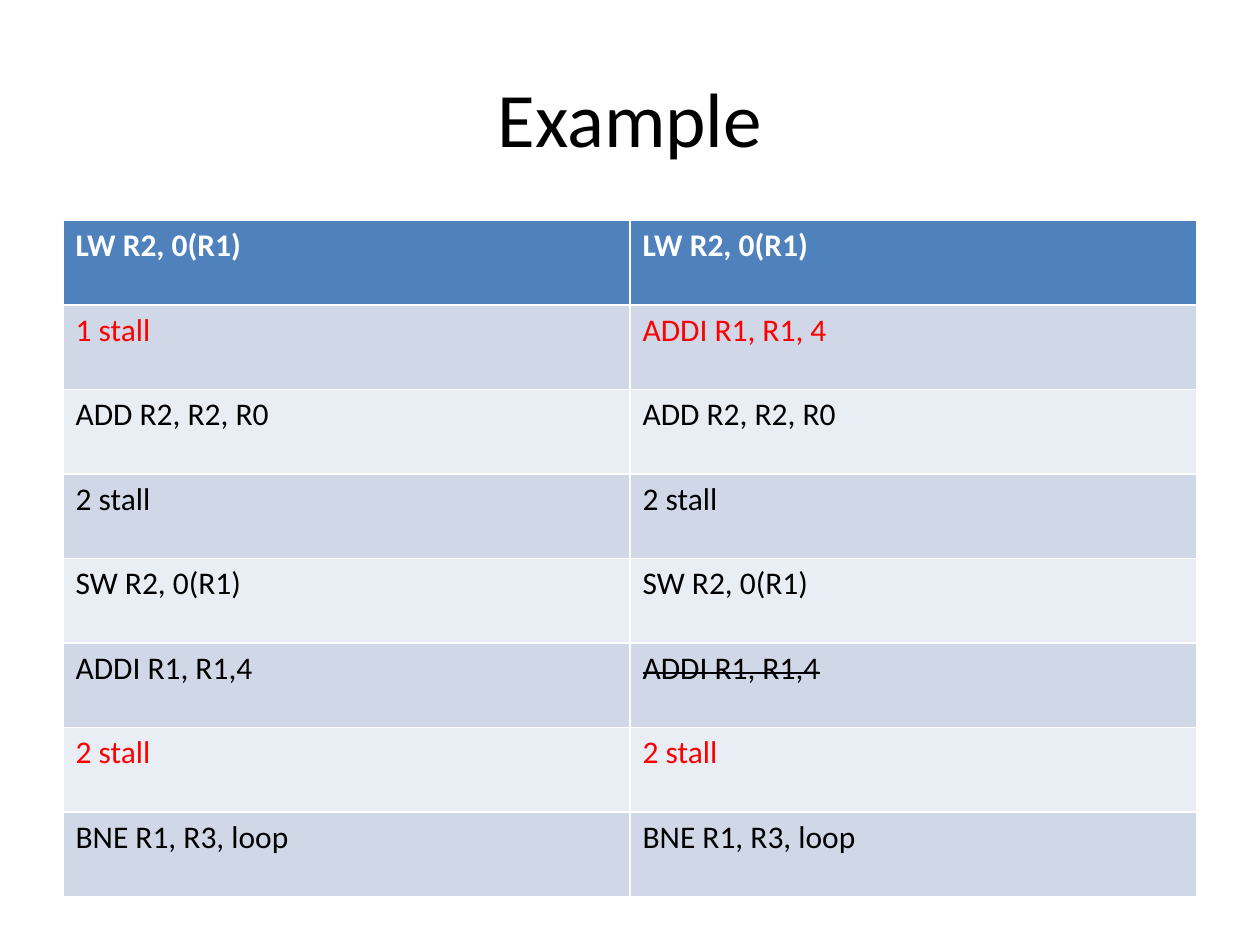
import pptx
import pptx.dml.color
import pptx.enum.text
import pptx.util

COLORS = {
    "header": "4F81BD",
    "odd": "D0D8E8",
    "even": "E9EDF4",
    "white": "FFFFFF",
    "black": "000000",
    "red": "FF0000",
}
TITLE = "Example"
ROWS = [
    ("LW R2, 0(R1)", "LW R2, 0(R1)"),
    ("1 stall", "ADDI R1, R1, 4"),
    ("ADD R2, R2, R0", "ADD R2, R2, R0"),
    ("2 stall", "2 stall"),
    ("SW R2, 0(R1)", "SW R2, 0(R1)"),
    ("ADDI R1, R1,4", "ADDI R1, R1,4"),
    ("2 stall", "2 stall"),
    ("BNE R1, R3, loop", "BNE R1, R3, loop"),
]
RED_ROWS = {1, 6}
STRUCK_CELL = (5, 1)


def rgb(name):
    return pptx.dml.color.RGBColor.from_string(COLORS[name])


def write(tf, text, size, color, bold=False):
    p = tf.paragraphs[0]
    r = p.add_run()
    r.text = text
    p.font.name = "Calibri"
    p.font.size = pptx.util.Pt(size)
    p.font.bold = bold
    p.font.color.rgb = rgb(color)
    return p


def add_title(s):
    title = s.shapes.title
    title.left, title.top, title.width, title.height = map(
        pptx.util.Inches, (0.5, 0.3, 9, 1.25)
    )
    title.text_frame.vertical_anchor = pptx.enum.text.MSO_ANCHOR.MIDDLE
    p = write(title.text_frame, TITLE, 44, "black")
    p.alignment = pptx.enum.text.PP_ALIGN.CENTER


def add_code_table(s):
    box = map(pptx.util.Inches, (0.5, 1.75, 9, 5.37))
    table = s.shapes.add_table(len(ROWS), len(ROWS[0]), *box).table
    for i, row in enumerate(ROWS):
        header = i == 0
        fill = "header" if header else "odd" if i % 2 else "even"
        color = "white" if header else "red" if i in RED_ROWS else "black"
        for j, text in enumerate(row):
            cell = table.cell(i, j)
            cell.fill.solid()
            cell.fill.fore_color.rgb = rgb(fill)
            p = write(cell.text_frame, text, 18, color, header)
            if (i, j) == STRUCK_CELL:
                p.runs[0]._r.get_or_add_rPr().set("strike", "sngStrike")


def main():
    """Build a slide comparing an instruction sequence before and after scheduling."""
    prs = pptx.Presentation()
    prs.slide_width = pptx.util.Inches(10)
    prs.slide_height = pptx.util.Inches(7.5)
    s = prs.slides.add_slide(prs.slide_layouts[5])
    add_title(s)
    add_code_table(s)
    prs.save("out.pptx")


if __name__ == "__main__":
    main()
